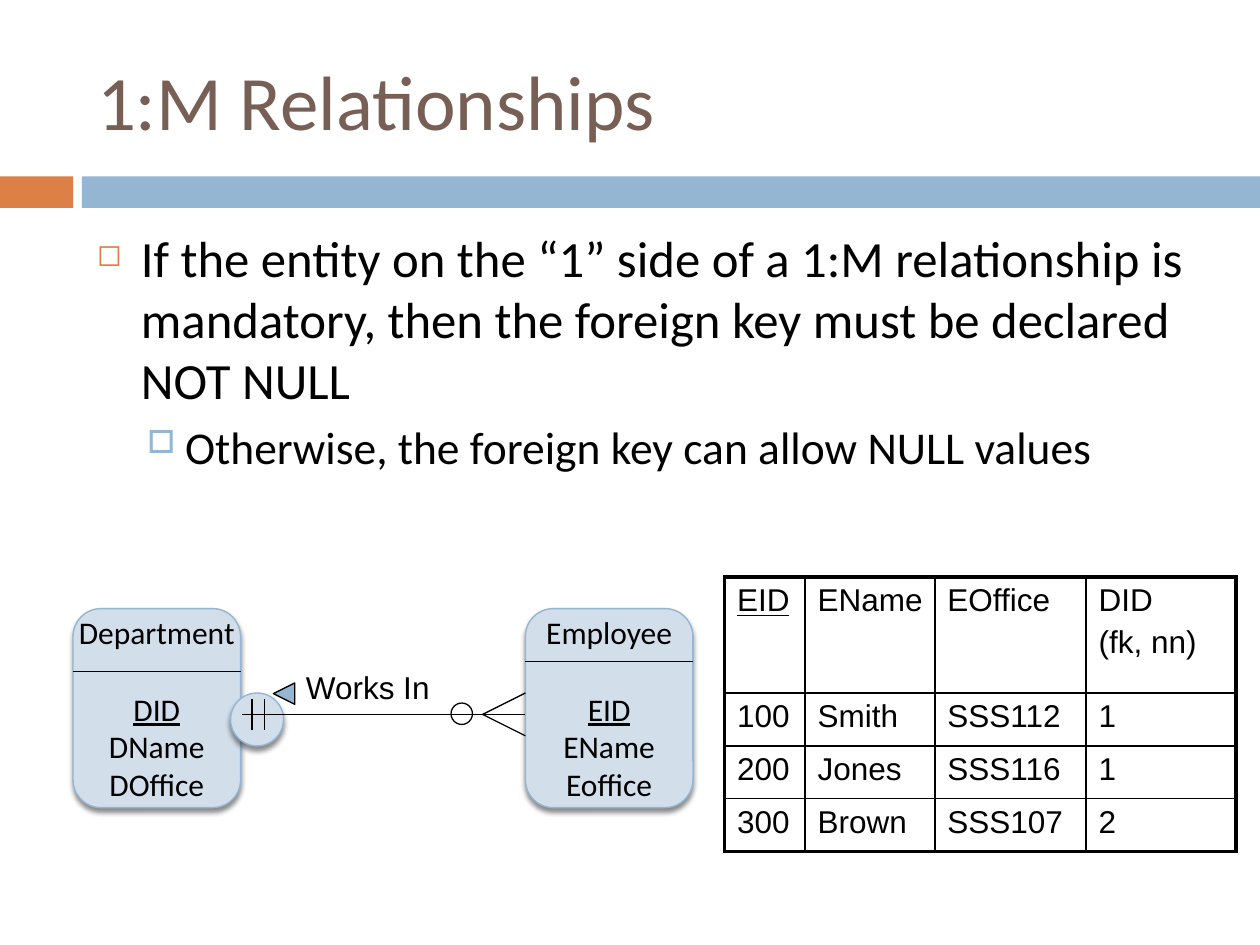
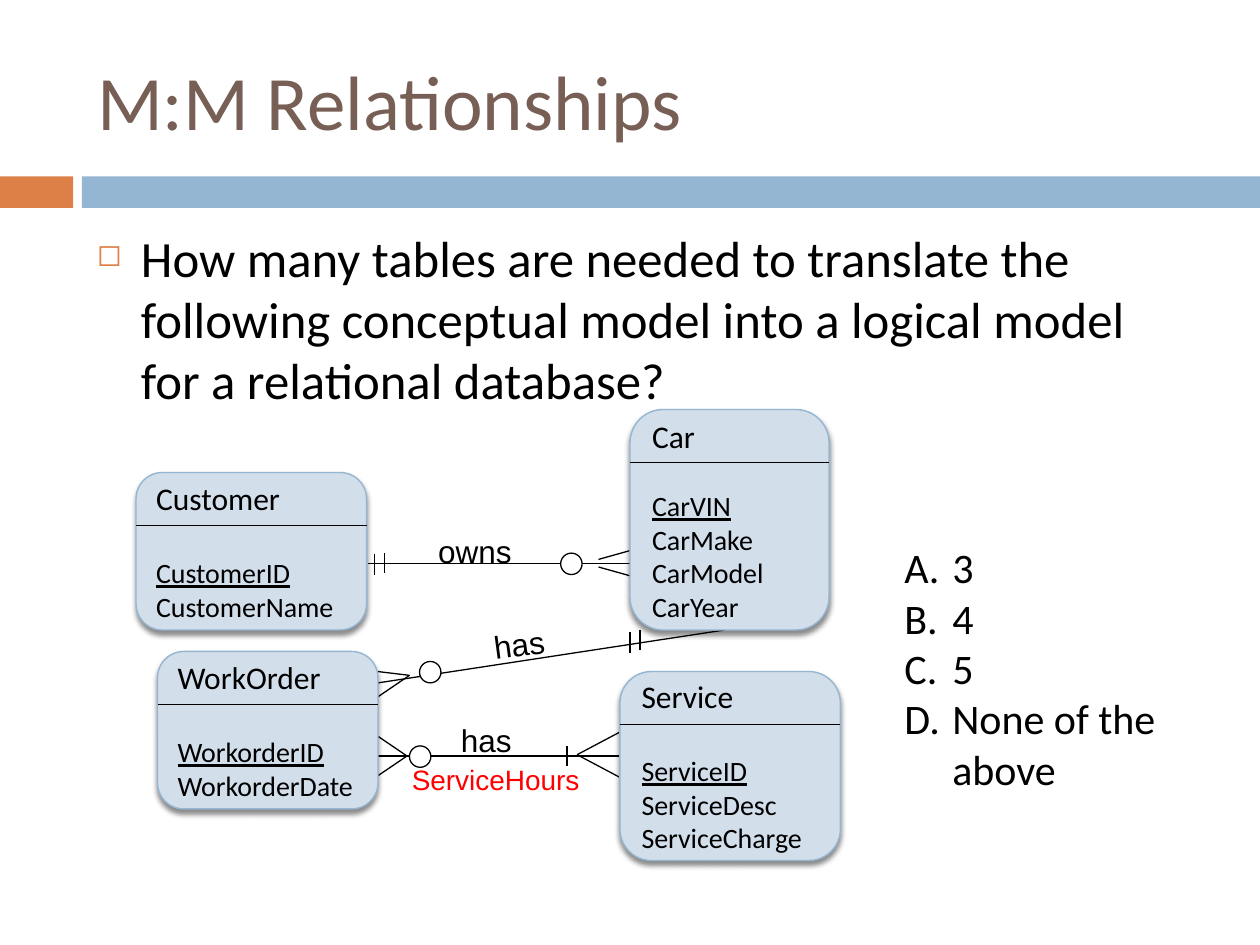
from dataclasses import dataclass
from typing import Any

from lxml import etree
from pptx import Presentation
from pptx.dml import color
from pptx.enum import shapes, text
from pptx.oxml import ns
from pptx.util import Inches, Pt

# Shared look
BLACK, WHITE, RED = "000000", "FFFFFF", "FF0000"
BROWN, ORANGE, BLUE, PALE_BLUE = "775F55", "DD8047", "94B6D2", "D2DEEA"
BODY_FONT, LABEL_FONT = "Calibri", "Arial"
THIN = 0.75
BULLETS = [  # indent, hanging, space before, size, glyph, glyph colour, glyph percent
    (0.35, 0.35, 7, 29, "\u25fb", ORANGE, 60),
    (0.7, 0.3, 5.5, 26, "\u25a1", BLUE, 70),
]


def rgb(value):
    return color.RGBColor.from_string(value)


def add_xml(parent, tag, **attributes):
    element = etree.SubElement(parent, ns.qn(tag))
    for name, value in attributes.items():
        element.set(name, str(value))
    return element


def add_colour(parent, value):
    return add_xml(parent, "a:srgbClr", val=value)


def format_runs(paragraph, size, font=BODY_FONT, colour=BLACK, underline=False):
    for run in paragraph.runs:
        run.font.name = font
        run.font.size = Pt(size)
        run.font.bold = False
        run.font.underline = underline
        run.font.color.rgb = rgb(colour)


def paragraphs_for(frame, lines):
    frame.text = "\n".join(lines)
    return frame.paragraphs


def hang(paragraph, indent, hanging):
    properties = paragraph._p.get_or_add_pPr()
    properties.set("marL", str(Inches(indent)))
    properties.set("indent", str(-Inches(hanging)))
    return properties


def add_preset(slide, kind, box, fill=None, line=None, width=THIN):
    shape = slide.shapes.add_shape(kind, *map(Inches, box))
    shape.shadow.inherit = False
    if fill:
        shape.fill.solid()
        shape.fill.fore_color.rgb = rgb(fill)
    else:
        shape.fill.background()
    if line:
        shape.line.color.rgb = rgb(line)
        shape.line.width = Pt(width)
    else:
        shape.line.fill.background()
    return shape


def add_raised(slide, kind, box):
    """A pale shape with a soft shadow below it."""
    shape = add_preset(slide, kind, box, PALE_BLUE, BLUE, 0.79)
    effects = shape._element.spPr.find(ns.qn("a:effectLst"))
    shadow = add_xml(effects, "a:outerShdw", blurRad=Pt(3), dist=Pt(2.4),
                     dir=90 * 60000, algn="ctr", rotWithShape=0)
    add_xml(add_colour(shadow, BLACK), "a:alpha", val=45000)
    return shape


@dataclass
class Diagram:
    """An entity diagram; all positions are relative to its left top corner."""
    slide: Any
    left: float
    top: float

    def place(self, x, y, *size):
        return (self.left + x, self.top + y, *size)

    def line(self, start, end):
        connector = self.slide.shapes.add_connector(
            shapes.MSO_CONNECTOR.STRAIGHT,
            *map(Inches, self.place(*start) + self.place(*end)))
        connector.line.color.rgb = rgb(BLACK)
        connector.line.width = Pt(THIN)
        add_xml(connector._element.spPr, "a:effectLst")

    def tick(self, x, middle, height=0.16):
        self.line((x, middle - height / 2), (x, middle + height / 2))

    def crow_foot(self, tip, edge, half, gap=0):
        for side in (-1, 1):
            self.line((tip[0], tip[1] + side * gap), (edge[0], edge[1] + side * half))

    def circle(self, x, y, fill=None):
        add_preset(self.slide, shapes.MSO_SHAPE.OVAL,
                   self.place(x, y, 0.17, 0.17), fill, BLACK)

    def label(self, words, box, size=18, colour=BLACK, rotation=0):
        shape = self.slide.shapes.add_textbox(*map(Inches, self.place(*box)))
        frame = shape.text_frame
        frame.text = words
        frame.word_wrap = False
        frame.auto_size = text.MSO_AUTO_SIZE.SHAPE_TO_FIT_TEXT
        frame.margin_right = Inches(0.05)
        format_runs(frame.paragraphs[0], size, LABEL_FONT, colour)
        shape.rotation = rotation

    def entity(self, box, name, attributes, size=16, gap=22,
               align=text.PP_ALIGN.LEFT, divider=0.42):
        """Name, dividing line, then the attributes with the key underlined."""
        shape = add_raised(self.slide, shapes.MSO_SHAPE.ROUNDED_RECTANGLE, self.place(*box))
        frame = shape.text_frame
        frame.word_wrap = False
        frame.vertical_anchor = text.MSO_ANCHOR.MIDDLE
        for index, paragraph in enumerate(paragraphs_for(frame, [name] + attributes)):
            paragraph.alignment = align
            format_runs(paragraph, size if index else 18, underline=index == 1)
            if index == 1:
                paragraph.space_before = Pt(gap)
        x, y, width, _ = box
        self.line((x, y + divider), (x + width, y + divider))


def add_titled_slide(presentation, title):
    slide = presentation.slides.add_slide(presentation.slide_layouts[5])
    # Bands
    for left, width, fill in ((0, 0.58, ORANGE), (0.65, 9.35, BLUE)):
        add_preset(slide, shapes.MSO_SHAPE.RECTANGLE, (left, 1.4, width, 0.25), fill)
    # Title
    shape = slide.shapes.title
    shape.left, shape.top, shape.width, shape.height = map(Inches, (0.67, 0.25, 8.92, 1.08))
    frame = shape.text_frame
    frame.text = title
    frame.vertical_anchor = text.MSO_ANCHOR.MIDDLE
    frame.paragraphs[0].alignment = text.PP_ALIGN.LEFT
    format_runs(frame.paragraphs[0], 44, colour=BROWN)
    return slide


def add_bullets(slide, box, lines):
    frame = slide.shapes.add_textbox(*map(Inches, box)).text_frame
    frame.word_wrap = True
    for level, paragraph in enumerate(paragraphs_for(frame, lines)):
        indent, hanging, before, size, glyph, colour, percent = BULLETS[level]
        paragraph.level = level
        paragraph.space_before = Pt(before)
        format_runs(paragraph, size)
        properties = hang(paragraph, indent, hanging)
        add_colour(add_xml(properties, "a:buClr"), colour)
        add_xml(properties, "a:buSzPct", val=percent * 1000)
        add_xml(properties, "a:buChar", char=glyph)


def add_choices(slide, box, choices):
    frame = slide.shapes.add_textbox(*map(Inches, box)).text_frame
    frame.word_wrap = True
    for paragraph in paragraphs_for(frame, choices):
        format_runs(paragraph, 24)
        add_xml(hang(paragraph, 0.38, 0.38), "a:buAutoNum", type="alphaUcPeriod")


def set_borders(cell, widths):
    """Widths in points for the left, right, top and bottom border."""
    properties = cell._tc.get_or_add_tcPr()
    for side, width in zip("LRTB", widths):
        border = add_xml(properties, f"a:ln{side}", w=Pt(width))
        add_colour(add_xml(border, "a:solidFill"), BLACK)


def add_employee_table(slide, left, top):
    rows = [["EID", "EName", "EOffice", "DID\n(fk, nn)"],
            ["100", "Smith", "SSS112", "1"],
            ["200", "Jones", "SSS116", "1"],
            ["300", "Brown", "SSS107", "2"]]
    widths, heights = [0.64, 1.03, 1.2, 1.19], [0.92, 0.42, 0.42, 0.42]
    table = slide.shapes.add_table(
        len(rows), len(widths), Inches(left), Inches(top),
        Inches(sum(widths)), Inches(sum(heights))).table
    table.first_row = table.horz_banding = False
    for column, width in zip(table.columns, widths):
        column.width = Inches(width)
    last_row, last_column = len(rows) - 1, len(widths) - 1
    for r, values in enumerate(rows):
        table.rows[r].height = Inches(heights[r])
        for c, value in enumerate(values):
            cell = table.cell(r, c)
            cell.text = value
            cell.margin_right = Inches(0.05)
            for paragraph in cell.text_frame.paragraphs:
                paragraph.space_before = Pt(3.6)
                format_runs(paragraph, 18, LABEL_FONT, underline=value == "EID")
            outer = (c == 0, c == last_column, r == 0, r == last_row)
            set_borders(cell, [2.25 if edge else 1 for edge in outer])
            cell.fill.solid()
            cell.fill.fore_color.rgb = rgb(WHITE)


def add_department_diagram(slide, left, top):
    diagram = Diagram(slide, left, top)
    # Entities
    centred = dict(size=18, align=text.PP_ALIGN.CENTER)
    diagram.entity((0, 0, 1.33, 1.58), "Department", ["DID", "DName", "DOffice"],
                   divider=0.5, **centred)
    diagram.entity((3.59, 0, 1.33, 1.58), "Employee", ["EID", "EName", "Eoffice"], **centred)
    # Highlight around the mandatory side
    add_raised(slide, shapes.MSO_SHAPE.OVAL, diagram.place(1.25, 0.67, 0.42, 0.42))
    # Relationship
    diagram.line((1.34, 0.84), (3.59, 0.84))
    diagram.crow_foot((3.25, 0.84), (3.59, 0.84), 0.17)
    diagram.circle(3, 0.75)
    for x in (1.42, 1.52):
        diagram.tick(x, 0.84, 0.25)
    diagram.label("Works In", (1.75, 0.42, 1.19, 0.4))
    pointer = add_preset(slide, shapes.MSO_SHAPE.ISOSCELES_TRIANGLE,
                         diagram.place(1.59, 0.59, 0.17, 0.17), BLUE, BLACK)
    pointer.rotation = 270


def add_garage_diagram(slide, left, top):
    diagram = Diagram(slide, left, top)
    # Relationship lines
    diagram.line((1.92, 2.17), (4.67, 1.75))
    diagram.line((1.84, 1.22), (3.94, 1.22))
    diagram.line((1.92, 2.75), (3.84, 2.75))
    # Many ends
    diagram.crow_foot((3.67, 1.22), (3.92, 1.22), 0.1, gap=0.03)
    diagram.crow_foot((2.15, 2.75), (1.9, 2.75), 0.17)
    diagram.crow_foot((3.5, 2.74), (3.84, 2.74), 0.18)
    diagram.crow_foot((2.17, 2.11), (1.92, 2.18), 0.1)
    # Entities
    diagram.entity((0, 0.5, 1.83, 1.25), "Customer", ["CustomerID", "CustomerName"])
    diagram.entity((3.92, 0, 1.58, 1.75), "Car",
                   ["CarVIN", "CarMake", "CarModel", "CarYear"], gap=19.5)
    diagram.entity((0.17, 1.92, 1.75, 1.25), "WorkOrder", ["WorkorderID", "WorkorderDate"])
    diagram.entity((3.84, 2.08, 1.75, 1.5), "Service",
                   ["ServiceID", "ServiceDesc", "ServiceCharge"])
    # Optional and single ends
    for x, y in ((2.25, 2), (3.37, 1.14), (2.17, 2.67)):
        diagram.circle(x, y, WHITE)
    for x, middle in ((1.89, 1.23), (1.97, 1.22), (3.92, 1.85), (4, 1.83), (3.42, 2.75)):
        diagram.tick(x, middle)
    # Relationship names
    diagram.label("owns", (2.3, 0.92, 0.8, 0.4))
    diagram.label("has", (2.74, 1.66, 0.61, 0.4), rotation=352.4)
    diagram.label("has", (2.48, 2.42, 0.6, 0.4))
    diagram.label("ServiceHours", (2.09, 2.75, 1.53, 0.37), 16, RED)


presentation = Presentation()
presentation.slide_width, presentation.slide_height = Inches(10), Inches(7.5)
BODY_BOX = (0.67, 1.75, 8.92, 4.92)

# Slide 1: one-to-many
slide = add_titled_slide(presentation, "1:M Relationships")
add_bullets(slide, BODY_BOX, [
    "If the entity on the “1” side of a 1:M relationship is mandatory, "
    "then the foreign key must be declared NOT NULL",
    "Otherwise, the foreign key can allow NULL values"])
add_employee_table(slide, 5.75, 4.58)
add_department_diagram(slide, 0.58, 4.83)

# Slide 2: many-to-many
slide = add_titled_slide(presentation, "M:M Relationships")
add_bullets(slide, BODY_BOX, [
    "How many tables are needed to translate the following conceptual model "
    "into a logical model for a relational database?"])
add_garage_diagram(slide, 1.08, 3.25)
add_choices(slide, (7.08, 4.25, 2.54, 2.12), ["3", "4", "5", "None of the above"])

presentation.save("out.pptx")
